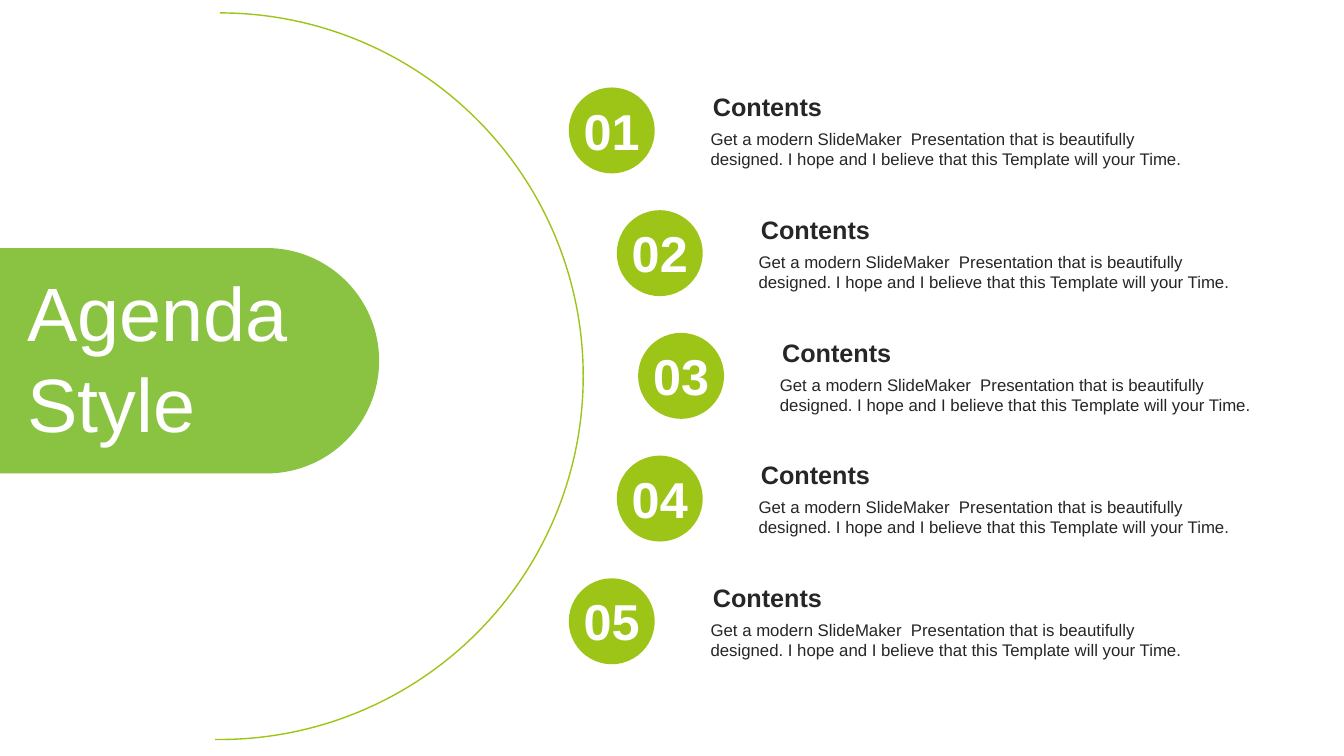
from lxml import etree
from pptx import Presentation
from pptx.dml.color import RGBColor
from pptx.enum.shapes import MSO_SHAPE as Shape
from pptx.enum.text import MSO_ANCHOR as Anchor, MSO_AUTO_SIZE as AutoSize, PP_ALIGN as Align
from pptx.oxml.ns import qn
from pptx.util import Pt

LIME, GREEN, DARK, WHITE = "9DC518", "79BA27", "262626", "FFFFFF"
DESCRIPTION = ("Get a modern SlideMaker  Presentation that is beautifully designed. "
               "I hope and I believe that this Template will your Time.")


def color(hex_string):
    return RGBColor.from_string(hex_string)


class AgendaPage:
    font = "Arial"

    def __init__(self, deck):
        self.page = deck.slides.add_slide(deck.slide_layouts[6])
        self.target = self.page.shapes

    def start_group(self):
        self.target = self.page.shapes.add_group_shape().shapes

    def end_group(self):
        self.target = self.page.shapes

    def shape(self, kind, left, top, width, height, fill=None, line=None, opacity=100):
        item = self.target.add_shape(kind, Pt(left), Pt(top), Pt(width), Pt(height))
        item.shadow.inherit = False
        if fill:
            item.fill.solid()
            item.fill.fore_color.rgb = color(fill)
            if opacity < 100:
                tint = item.fill._xPr.find(qn("a:solidFill"))[0]
                etree.SubElement(tint, qn("a:alpha")).set("val", str(opacity * 1000))
        else:
            item.fill.background()
        if line:
            item.line.color.rgb = color(line)
            item.line.width = Pt(1)
        else:
            item.line.fill.background()
        return item

    def text(self, lines, left, top, width, height, size, ink,
             bold=False, align=Align.LEFT, anchor=Anchor.TOP, inset=7.2):
        box = self.target.add_textbox(Pt(left), Pt(top), Pt(width), Pt(height))
        frame = box.text_frame
        frame.word_wrap = True
        frame.auto_size = AutoSize.SHAPE_TO_FIT_TEXT
        frame.vertical_anchor = anchor
        frame.margin_left = frame.margin_right = Pt(inset)
        frame.text = "\n".join(lines)
        for para in frame.paragraphs:
            para.alignment = align
            para.font.name = self.font
            para.font.size = Pt(size)
            para.font.bold = bold
            para.font.color.rgb = color(ink)

    def agenda_item(self, number, left, top):
        self.start_group()
        self.text([DESCRIPTION], left + 94.2, top + 26, 355, 36, 12, DARK)
        self.text(["Contents"], left + 94.2, top - 0.6, 355, 29, 18, DARK, bold=True, inset=8.7)
        self.shape(Shape.OVAL, left, top, 61.4, 61.4, fill=LIME)
        self.text([f"{number:02}"], left - 7, top + 5.2, 75.4, 51, 36, WHITE,
                  bold=True, align=Align.CENTER, inset=8.7)
        self.end_group()


def main():
    deck = Presentation()
    deck.slide_width, deck.slide_height = Pt(960), Pt(540)
    agenda = AgendaPage(deck)

    # Large arc
    arc = agenda.shape(Shape.ARC, -102.4, 9.2, 519, 519, line=LIME)
    arc.adjustments[0], arc.adjustments[1] = 162, 54.46

    # Numbered items along the arc
    for index, left in enumerate([406.3, 440.6, 455.8, 440.6, 406.3]):
        agenda.agenda_item(index + 1, left, 62.5 + 87.65 * index)

    # Title tab: an upright shape, turned so its round end points right
    length, thickness, tab_top = 270.8, 161, 177.2
    tab = agenda.shape(Shape.ROUND_2_SAME_RECTANGLE, (length - thickness) / 2,
                       tab_top + (thickness - length) / 2, thickness, length,
                       fill=GREEN, opacity=87)
    tab.adjustments[0] = 0.5
    tab.rotation = 90
    agenda.text(["Agenda", "Style"], 12.5, 185.8, 258, 138, 54, WHITE, anchor=Anchor.MIDDLE)

    deck.save("out.pptx")


if __name__ == "__main__":
    main()
